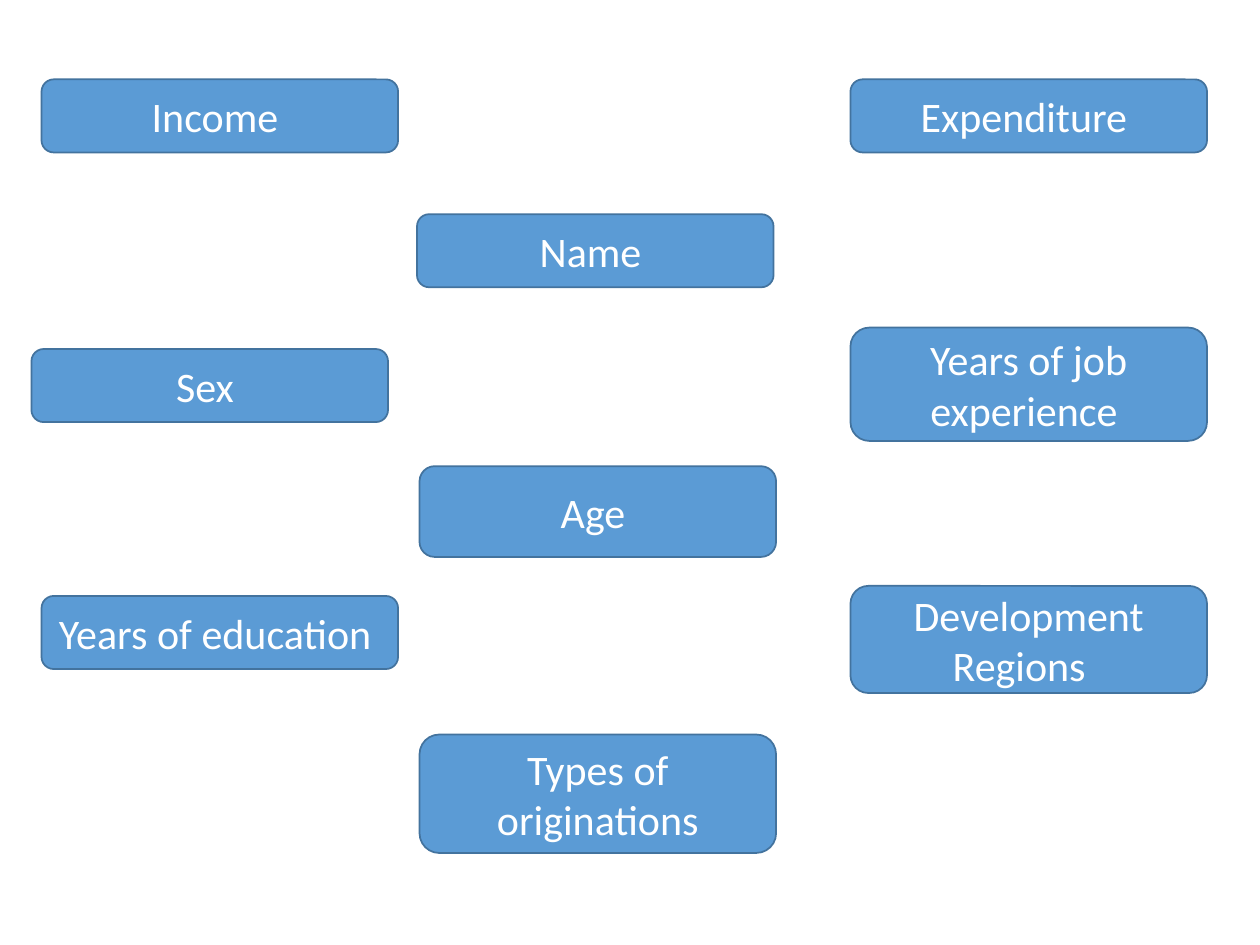
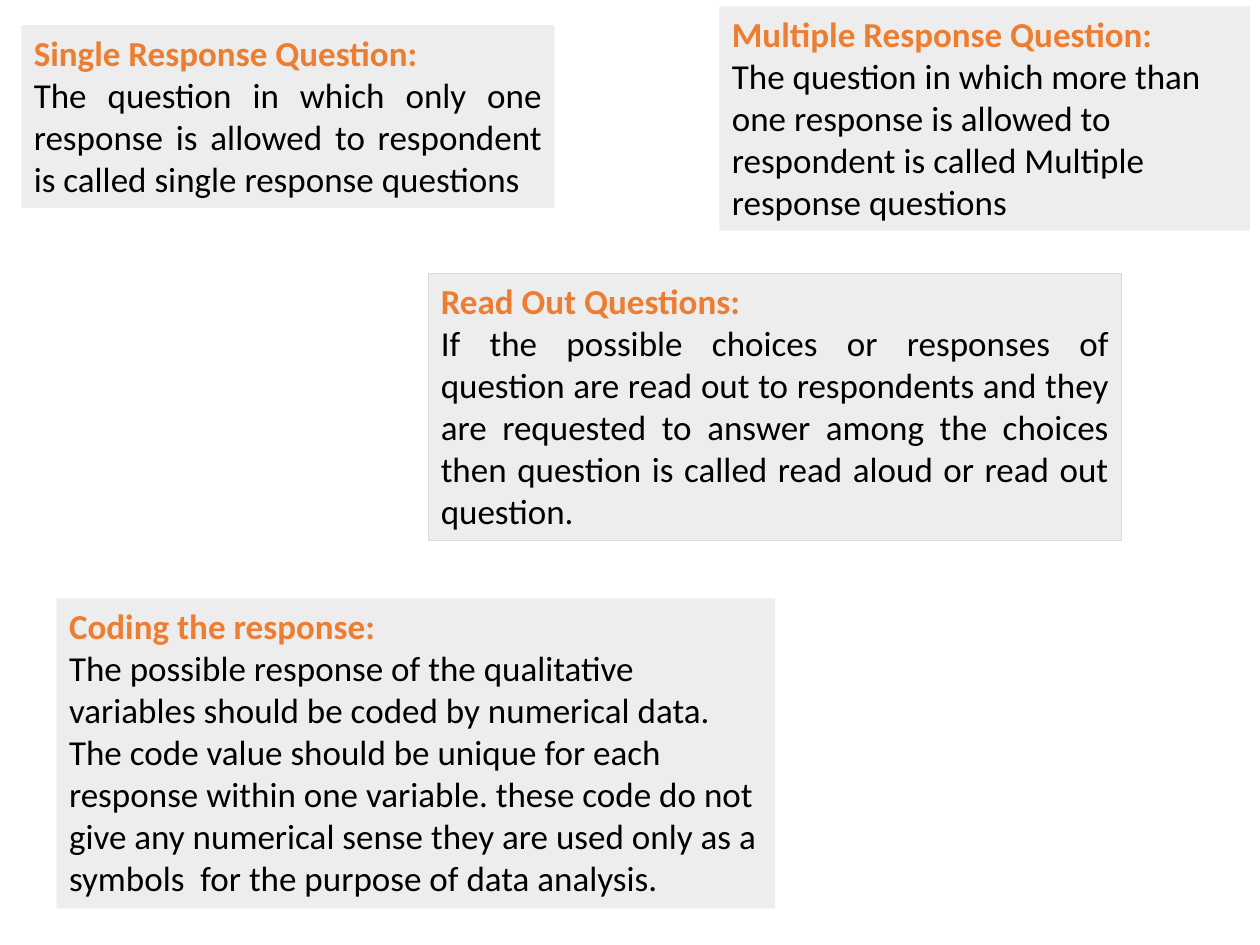
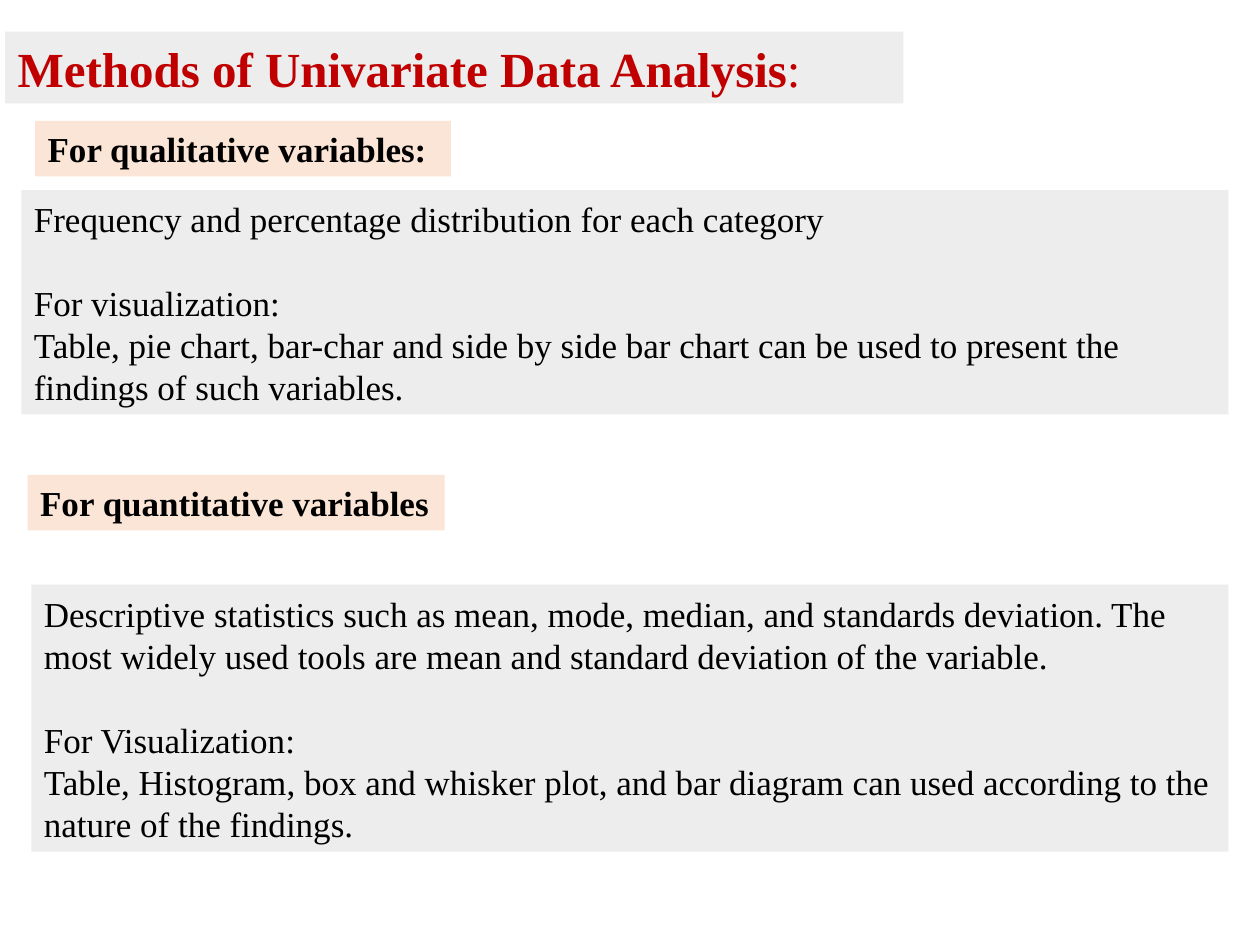
from pptx import Presentation
from pptx import util as u
from pptx.dml.color import RGBColor
from pptx.enum import shapes, text

COLORS = {
    "button": "5B9BD5", "button_line": "43739E", "white": "FFFFFF",
    "panel": "EDEDED", "panel_line": "D6DCE5", "label": "FBE5D6",
    "heading": "ED7D31", "title": "C00000", "black": "000000",
}
SANS, SERIF = "Calibri", "Times New Roman"
WIDTH, HEIGHT = u.Inches(10), u.Inches(7.5)
COLUMNS, ROWS = 100, 75
TITLE_ONLY, BLANK = 5, 6
LINE_GAP = 24  # points, one line of 20 point text

BUTTON_WIDTH = 28.3
# column, row, rows high, wording
VARIABLES = [
    (33.1, 17, 5.8, "Name "),
    (2.5, 27.7, 5.8, "Sex "),
    (3.3, 47.3, 5.8, "Years of education  "),
    (3.3, 6.3, 5.8, "Income "),
    (67.5, 46.5, 8.5, "Development Regions  "),
    (67.5, 26, 9, "Years of job experience "),
    (67.5, 6.3, 5.8, "Expenditure "),
    (33.3, 58.3, 9.4, "Types of originations"),
    (33.3, 37, 7.2, "Age "),
]

LEFT, JUSTIFY = text.PP_ALIGN.LEFT, text.PP_ALIGN.JUSTIFY
# box in grid units, alignment of the body, outline, heading, body
DEFINITIONS = [
    ((1.7, 2, 42.3, 14.5), JUSTIFY, None, "Single Response Question:",
     "The question in which only one response is allowed to respondent is called "
     "single response questions"),
    ((57.1, 0.5, 42.1, 17.8), LEFT, None, "Multiple Response Question:",
     "The question in which more than one response is allowed to respondent is called "
     "Multiple response questions"),
    ((4.5, 47.5, 57, 24.6), LEFT, None, "Coding the response:",
     "The possible response of the qualitative variables should be coded by numerical data. "
     "The code value should be unique for each response within one variable. these code do not "
     "give any numerical sense they are used only as a symbols  for the purpose of data analysis."),
    ((34, 21.7, 55, 21.2), JUSTIFY, "panel_line", "Read Out Questions: ",
     "If the possible choices or responses of question are read out to respondents and they are "
     "requested to answer among the choices then question is called read aloud or read out "
     "question."),
]

# label box, label, panel box, method, visualization heading, visualization
METHODS = [
    ((2.8, 9.6, 33, 4.4), "For qualitative variables:", (1.7, 15.1, 95.8, 17.8),
     "Frequency and percentage distribution for each category",
     "For visualization:",
     "Table, pie chart, bar-char and side by side bar chart can be used to present the "
     "findings of such variables."),
    ((2.2, 37.7, 33.1, 4.4), "For quantitative variables", (2.5, 46.4, 95, 21.2),
     "Descriptive statistics such as mean, mode, median, and standards deviation. The most "
     "widely used tools are mean and standard deviation of the variable.",
     "For Visualization:",
     "Table, Histogram, box and whisker plot, and bar diagram can used according to the "
     "nature of the findings."),
]


def color(name):
    return RGBColor.from_string(COLORS[name])


def place(box):
    """Turn a box in grid units into slide lengths."""
    column, row, columns, rows = box
    return (round(WIDTH * column / COLUMNS), round(HEIGHT * row / ROWS),
            round(WIDTH * columns / COLUMNS), round(HEIGHT * rows / ROWS))


def add_run(paragraph, wording, size, font_name, color_name, bold=False):
    run = paragraph.add_run()
    run.text = wording
    run.font.size, run.font.name, run.font.bold = u.Pt(size), font_name, bold
    run.font.color.rgb = color(color_name)


def paint(shape, fill, line=None, line_width=0.75):
    shape.fill.solid()
    shape.fill.fore_color.rgb = color(fill)
    if line:
        shape.line.color.rgb = color(line)
        shape.line.width = u.Pt(line_width)


def add_panel(slide, box, fill, line=None, anchor=text.MSO_ANCHOR.TOP, wrap=True):
    """Add a filled text box and return its text frame."""
    panel = slide.shapes.add_textbox(*place(box))
    paint(panel, fill, line)
    frame = panel.text_frame
    frame.word_wrap, frame.vertical_anchor = wrap, anchor
    return frame


def add_variable(slide, column, row, rows, wording):
    button = slide.shapes.add_shape(shapes.MSO_SHAPE.ROUNDED_RECTANGLE,
                                    *place((column, row, BUTTON_WIDTH, rows)))
    button.shadow.inherit = False
    paint(button, "button", "button_line", 1)
    frame = button.text_frame
    frame.word_wrap, frame.vertical_anchor = True, text.MSO_ANCHOR.MIDDLE
    paragraph = frame.paragraphs[0]
    paragraph.alignment = text.PP_ALIGN.CENTER
    add_run(paragraph, wording, 24, SANS, "white")


def add_definition(slide, box, alignment, line, heading, body):
    frame = add_panel(slide, box, "panel", line)
    add_run(frame.paragraphs[0], heading, 20, SANS, "heading", bold=True)
    paragraph = frame.add_paragraph()
    paragraph.alignment = alignment
    add_run(paragraph, body, 20, SANS, "black")


def add_method(slide, label_box, label, panel_box, method, heading, visualization):
    frame = add_panel(slide, panel_box, "panel", anchor=text.MSO_ANCHOR.MIDDLE)
    add_run(frame.paragraphs[0], method, 20, SERIF, "black")
    paragraph = frame.add_paragraph()
    paragraph.space_before = u.Pt(LINE_GAP)
    add_run(paragraph, heading, 20, SERIF, "black")
    add_run(frame.add_paragraph(), visualization, 20, SERIF, "black")
    frame = add_panel(slide, label_box, "label", wrap=False)
    add_run(frame.paragraphs[0], label, 20, SERIF, "black", bold=True)


def format_title(slide, box, wording, ending):
    title = slide.shapes.title
    title.left, title.top, title.width, title.height = place(box)
    paint(title, "panel")
    frame = title.text_frame
    frame.auto_size, frame.vertical_anchor = text.MSO_AUTO_SIZE.NONE, text.MSO_ANCHOR.MIDDLE
    paragraph = frame.paragraphs[0]
    paragraph.alignment = LEFT
    add_run(paragraph, wording, 28, SERIF, "title", bold=True)
    add_run(paragraph, ending, 28, SERIF, "title")


def add_slide(presentation, layout, add_part, parts):
    """Add a slide and draw each of its parts."""
    slide = presentation.slides.add_slide(presentation.slide_layouts[layout])
    for part in parts:
        add_part(slide, *part)
    return slide


def main():
    presentation = Presentation()
    presentation.slide_width, presentation.slide_height = WIDTH, HEIGHT
    add_slide(presentation, BLANK, add_variable, VARIABLES)
    add_slide(presentation, BLANK, add_definition, DEFINITIONS)
    methods = add_slide(presentation, TITLE_ONLY, add_method, METHODS)
    format_title(methods, (0.4, 2.5, 71.3, 5.7), "Methods of Univariate Data Analysis", ":")
    presentation.save("out.pptx")


if __name__ == "__main__":
    main()
